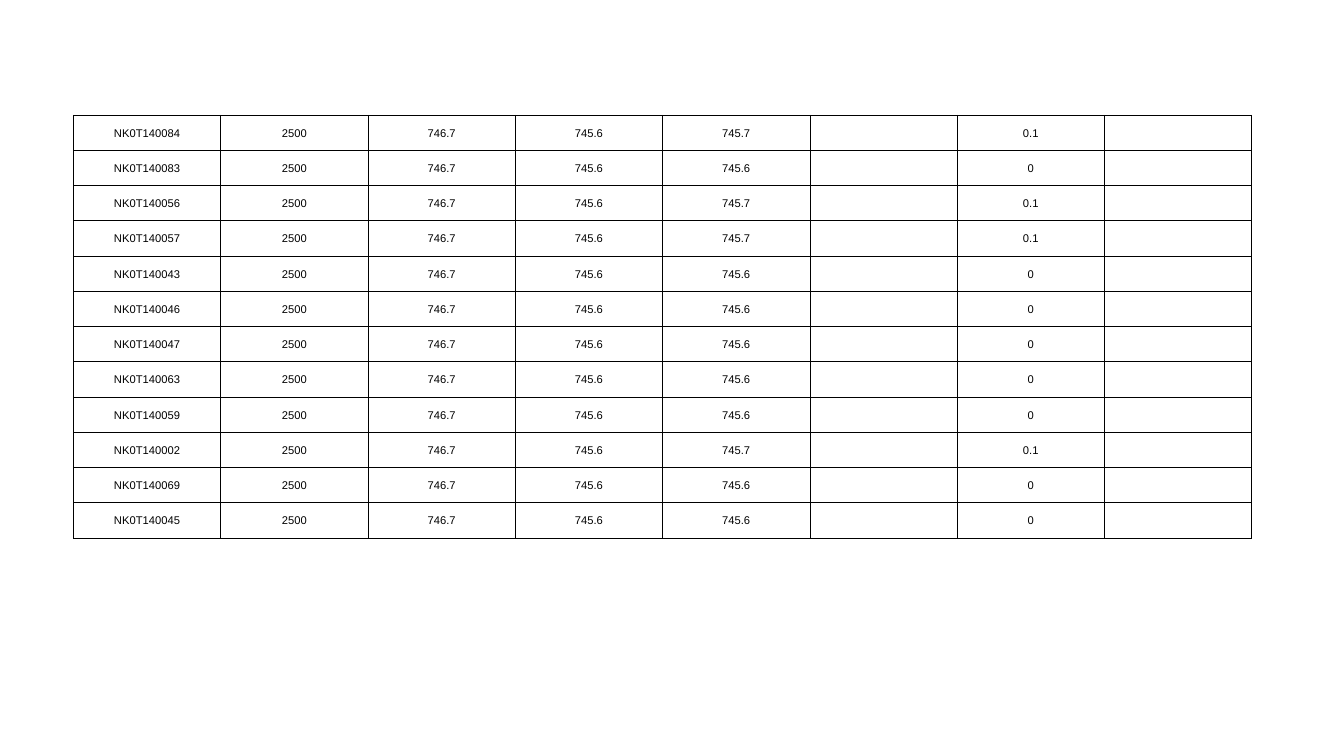
from lxml import etree
from pptx import Presentation
from pptx.dml.color import RGBColor
from pptx.enum.text import MSO_ANCHOR, PP_ALIGN
from pptx.oxml.ns import qn
from pptx.util import Pt

BLACK = RGBColor(0x00, 0x00, 0x00)
CENTER = PP_ALIGN.CENTER
MIDDLE = MSO_ANCHOR.MIDDLE
FONT_NAME = "Arial"
FONT_SIZE = Pt(8)
BORDER_WIDTH = Pt(0.5)
CELL_MARGIN = Pt(0.75)
BLANK_LAYOUT = 6

# Serial number and the two readings that vary; the other values are shared
MEASUREMENTS = [
    ("NK0T140084", "745.7", "0.1"),
    ("NK0T140083", "745.6", "0"),
    ("NK0T140056", "745.7", "0.1"),
    ("NK0T140057", "745.7", "0.1"),
    ("NK0T140043", "745.6", "0"),
    ("NK0T140046", "745.6", "0"),
    ("NK0T140047", "745.6", "0"),
    ("NK0T140063", "745.6", "0"),
    ("NK0T140059", "745.6", "0"),
    ("NK0T140002", "745.7", "0.1"),
    ("NK0T140069", "745.6", "0"),
    ("NK0T140045", "745.6", "0"),
]
ROWS = [
    (serial, "2500", "746.7", "745.6", reading, "", difference, "")
    for serial, reading, difference in MEASUREMENTS
]


def add_borders(cell):
    properties = cell._tc.get_or_add_tcPr()
    for side in ("a:lnL", "a:lnR", "a:lnT", "a:lnB"):
        line = etree.SubElement(properties, qn(side), w=str(BORDER_WIDTH))
        fill = etree.SubElement(line, qn("a:solidFill"))
        etree.SubElement(fill, qn("a:srgbClr"), val=str(BLACK))


def format_cell(cell, text):
    add_borders(cell)
    cell.fill.background()
    cell.vertical_anchor = MIDDLE
    cell.margin_left = cell.margin_right = cell.margin_top = CELL_MARGIN
    cell.margin_bottom = 0
    paragraph = cell.text_frame.paragraphs[0]
    paragraph.alignment = CENTER
    if text:
        run = paragraph.add_run()
        run.text = text
        run.font.name = FONT_NAME
        run.font.size = FONT_SIZE
        run.font.color.rgb = BLACK


def add_measurement_table(slide, left, top, width, height):
    row_count, column_count = len(ROWS), len(ROWS[0])
    table = slide.shapes.add_table(
        row_count, column_count, left, top, width, height
    ).table
    table.first_row = False
    table.horz_banding = False
    for column in table.columns:
        column.width = width // column_count
    for row, values in zip(table.rows, ROWS):
        row.height = height // row_count
        for cell, text in zip(row.cells, values):
            format_cell(cell, text)


presentation = Presentation()
presentation.slide_width = Pt(960)
presentation.slide_height = Pt(540)
slide = presentation.slides.add_slide(presentation.slide_layouts[BLANK_LAYOUT])

# Measurement table
add_measurement_table(slide, Pt(52.5), Pt(82.2), Pt(841.6), Pt(302.4))

presentation.save("out.pptx")
